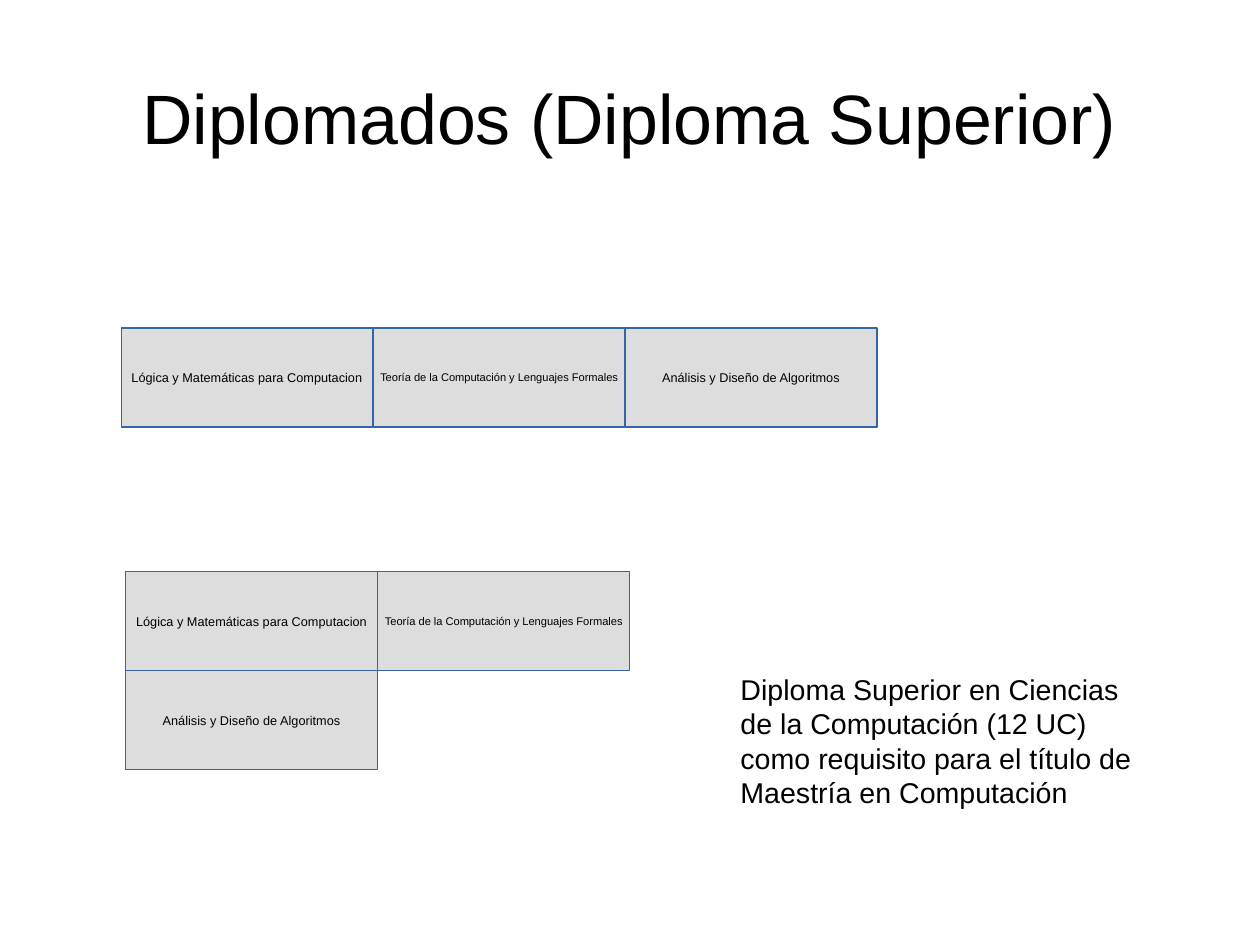
"""Build the slide on the courses that make up the Diploma Superior."""
import pptx
import pptx.util
import pptx.dml.color
import pptx.enum.shapes
import pptx.enum.text

Inches = pptx.util.Inches
Pt = pptx.util.Pt
ANCHOR = pptx.enum.text.MSO_ANCHOR
ALIGN = pptx.enum.text.PP_ALIGN

TITLE = "Diplomados (Diploma Superior)"
NOTE = ("Diploma Superior en Ciencias de la Computación (12 UC) "
        "como requisito para el título de Maestría en Computación")
LOGIC = ("Lógica y Matemáticas para Computacion", 8)
THEORY = ("Teoría de la Computación y Lenguajes Formales", 7)
ALGORITHMS = ("Análisis y Diseño de Algoritmos", 8)
PLANS = [
    (1.06, 2.87, [[LOGIC, THEORY, ALGORITHMS]]),
    (1.1, 5, [[LOGIC, THEORY], [ALGORITHMS]]),
]
SLIDE_W, SLIDE_H = 28 / 2.54, 21 / 2.54
BOX_W, BOX_H = SLIDE_W / 5, 2.2 / 2.54


def rgb(value):
    return pptx.dml.color.RGBColor.from_string(value)


def write(tf, text, size, align, anchor, wrap=True):
    tf.word_wrap = wrap
    tf.vertical_anchor = anchor
    p = tf.paragraphs[0]
    p.alignment = align
    r = p.add_run()
    r.text = text
    r.font.size = Pt(size)
    r.font.name = "Arial"
    r.font.color.rgb = rgb("000000")


def add_course(s, x, y, text, size):
    sp = s.shapes.add_shape(pptx.enum.shapes.MSO_SHAPE.RECTANGLE,
                            Inches(x), Inches(y), Inches(BOX_W), Inches(BOX_H))
    sp.shadow.inherit = False
    sp.fill.solid()
    sp.fill.fore_color.rgb = rgb("DDDDDD")
    sp.line.color.rgb = rgb("3465A4")
    sp.line.width = Pt(0)
    write(sp.text_frame, text, size, ALIGN.CENTER, ANCHOR.MIDDLE, wrap=False)


def main():
    prs = pptx.Presentation()
    prs.slide_width = Inches(SLIDE_W)
    prs.slide_height = Inches(SLIDE_H)
    s = prs.slides.add_slide(prs.slide_layouts[5])

    title = s.shapes.title
    title.left, title.top = Inches(0.55), Inches(0.33)
    title.width, title.height = Inches(9.92), Inches(1.38)
    tf = title.text_frame
    tf.margin_left = tf.margin_right = tf.margin_top = tf.margin_bottom = 0
    write(tf, TITLE, 44, ALIGN.CENTER, ANCHOR.MIDDLE)

    for left, top, rows in PLANS:
        for i, row in enumerate(rows):
            for j, (text, size) in enumerate(row):
                add_course(s, left + j * BOX_W, top + i * BOX_H, text, size)

    note = s.shapes.add_textbox(Inches(6.38), Inches(5.83), Inches(3.78), Inches(1.57))
    write(note.text_frame, NOTE, 18, ALIGN.LEFT, ANCHOR.TOP)

    prs.save("out.pptx")


if __name__ == "__main__":
    main()
